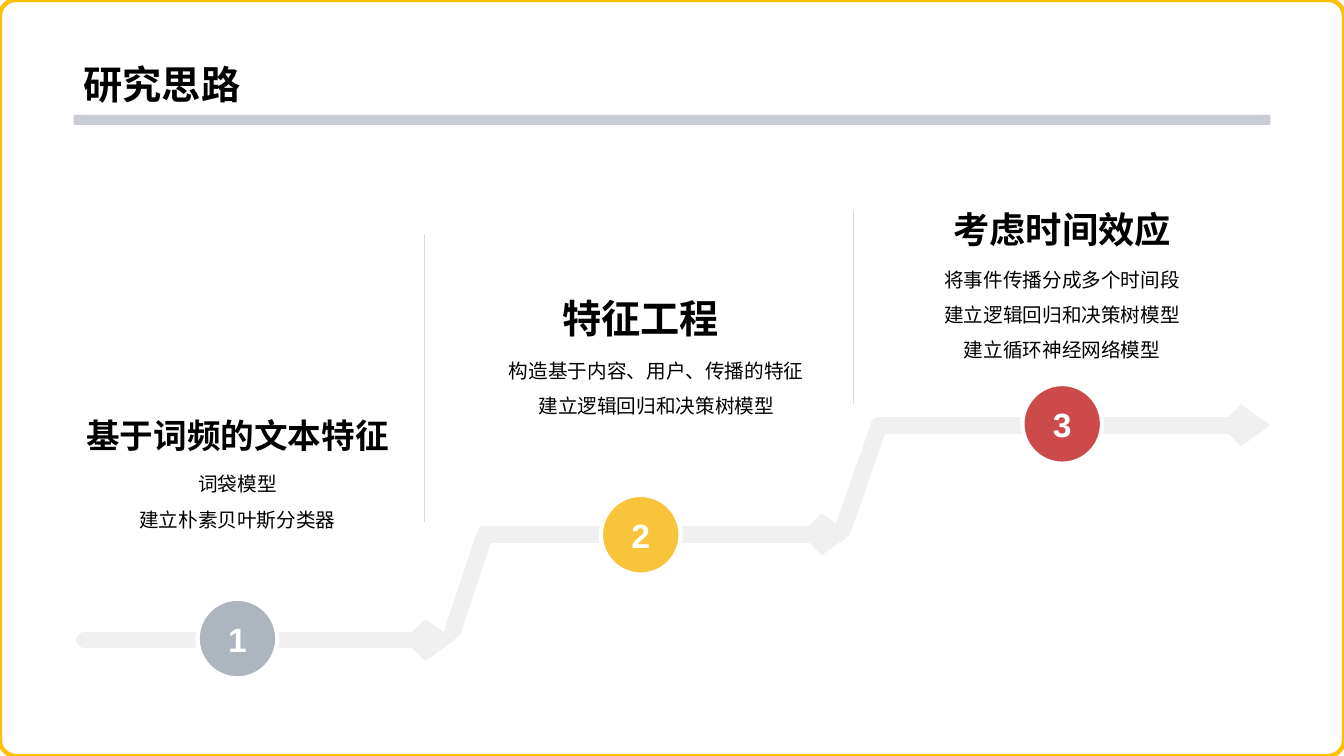
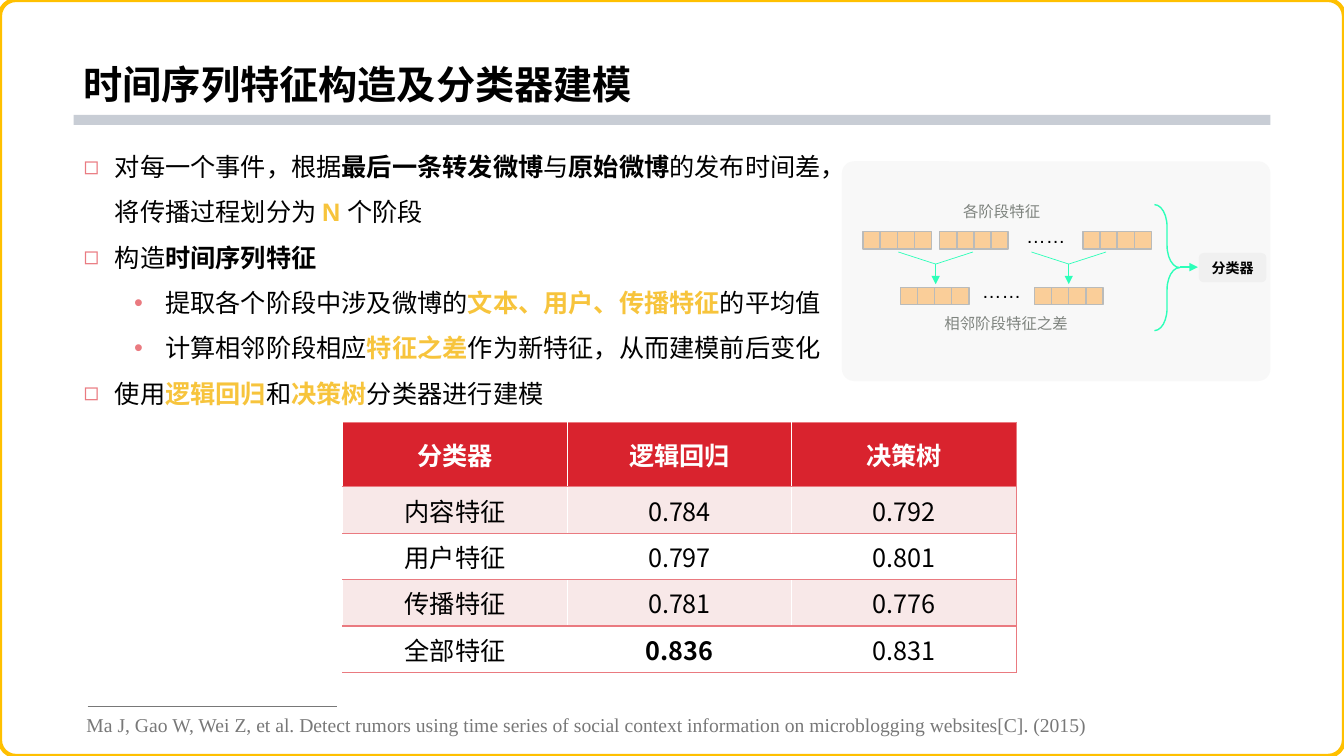
from pptx import Presentation
from pptx.dml.color import RGBColor
from pptx.enum.shapes import MSO_CONNECTOR as Conn, MSO_SHAPE as Geo
from pptx.enum.text import MSO_ANCHOR as Anchor, MSO_AUTO_SIZE as Fit, PP_ALIGN as Align
from pptx.oxml.ns import qn
from pptx.util import Inches, Pt
from lxml.etree import SubElement as Sub

SANS, CJK, SERIF = "Arial", "Noto Sans CJK SC", "Times New Roman"
BLACK, WHITE, GOLD, PINK = "000000", "FFFFFF", "F7C43C", "EA7A80"
BAND, FRAME, TRACK, RULE = "C8CDD5", "FFC000", "F0F0F0", "D9D9D9"
MINT, PEACH, EDGE, LABEL, NOTE = "2DFFB9", "FACE99", "BABBBA", "7F847F", "787878"
RED, BLUSH, PANEL = "D9232E", "F8E8E8", "EEEFEE"

STEPS = [
    ("1", "ADB5BF", (1.96, 5.94), "基于词频的文本特征", 24, (0.74, 4.02), 3.23,
     ["词袋模型", "建立朴素贝叶斯分类器"]),
    ("2", GOLD, (5.96, 4.91), "特征工程", 28, (4.74, 2.89), 3.54,
     ["构造基于内容、用户、传播的特征", "建立逻辑回归和决策树模型"]),
    ("3", "CC4A4A", (10.14, 3.81), "考虑时间效应", 25.9, (8.92, 1.99), 3.23,
     ["将事件传播分成多个时间段", "建立逻辑回归和决策树模型", "建立循环神经网络模型"]),
]
RAMPS = [(8.72, 4.22, 8.36, 5.25), (4.81, 5.3, 4.49, 6.26)]
TRACKS = [(0.84, 6.35, 4.51, 6.35), (4.81, 5.3, 8.44, 5.3), (8.73, 4.22, 12.6, 4.22)]
RULES = [(4.21, 2.32, 4.21, 5.18), (8.46, 2.09, 8.46, 4.01)]

PLAIN, BOLD, KEY = (BLACK, False), (BLACK, True), (GOLD, True)
POINTS = [
    (0, [("对每一个事件，根据", PLAIN), ("最后一条转发微博", BOLD), ("与", PLAIN),
         ("原始微博", BOLD), ("的发布时间差，将传播过程划分为 ", PLAIN),
         ("N ", KEY), ("个阶段", PLAIN)]),
    (0, [("构造", PLAIN), ("时间序列特征", BOLD)]),
    (1, [("提取各个阶段中涉及微博的", PLAIN), ("文本、用户、传播特征", KEY),
         ("的平均值", PLAIN)]),
    (1, [("计算相邻阶段相应", PLAIN), ("特征之差", KEY),
         ("作为新特征，从而建模前后变化", PLAIN)]),
    (0, [("使用", PLAIN), ("逻辑回归", KEY), ("和", PLAIN), ("决策树", KEY),
         ("分类器进行建模", PLAIN)]),
]
BULLETS = [("◻", 0.31), ("•", 0.81)]
SCORES = [
    ("分类器", "逻辑回归", "决策树"),
    ("内容特征", "0.784", "0.792"),
    ("用户特征", "0.797", "0.801"),
    ("传播特征", "0.781", "0.776"),
    ("全部特征", "0.836", "0.831"),
]
BEST = "0.836"
STRIPS = [(8.56, 2.3), (9.32, 2.3), (10.74, 2.3), (8.93, 2.85), (10.26, 2.85)]
CELL = 0.17
MERGES = [9.28, 10.6]
DOTS = [(10.08, 2.17), (9.64, 2.72)]
LABELS = [("各阶段特征", (9.45, 1.96, 0.97, 0.29)),
          ("相邻阶段特征之差", (9.26, 3.07, 1.44, 0.29))]
CITE = ("Ma J, Gao W, Wei Z, et al. Detect rumors using time series of social "
        "context information on microblogging websites[C]. (2015)")


def rgb(code):
    return RGBColor.from_string(code)


def box(at):
    return [Inches(v) for v in at]


def place(shape, at):
    shape.left, shape.top, shape.width, shape.height = box(at)


def write(para, text, size, color=BLACK, bold=False, face=SANS):
    run = para.add_run()
    run.text = text
    font = run.font
    font.size, font.bold, font.name = Pt(size), bold, face
    font.color.rgb = rgb(color)
    Sub(font._element, qn("a:ea"), typeface=CJK)


def inset(frame, side, edge):
    frame.margin_left = frame.margin_right = Inches(side)
    frame.margin_top = frame.margin_bottom = Inches(edge)


def draw(slide, geo, at, fill=None, line=None, width=1, adj=()):
    shape = slide.shapes.add_shape(geo, *box(at))
    shape.shadow.inherit = False
    for i, v in enumerate(adj):
        shape.adjustments[i] = v
    if fill:
        shape.fill.solid()
        shape.fill.fore_color.rgb = rgb(fill)
    else:
        shape.fill.background()
    if line:
        shape.line.color.rgb = rgb(line)
        shape.line.width = Pt(width)
    else:
        shape.line.fill.background()
    return shape


def link(slide, ends, color, width, head=None, size="med", cap="flat"):
    wire = slide.shapes.add_connector(Conn.STRAIGHT, *box(ends))
    wire.line.color.rgb = rgb(color)
    wire.line.width = Pt(width)
    ln = wire.line._get_or_add_ln()
    ln.set("cap", cap)
    if head:
        Sub(ln, qn("a:tailEnd"), type=head, w=size, len=size)
    Sub(wire.element.spPr, qn("a:effectLst"))


def label(slide, at, lines, size, color=BLACK, bold=False, face=SANS,
          align=Align.CENTER, space=None, wrap=False, grow=False):
    area = slide.shapes.add_textbox(*box(at))
    frame = area.text_frame
    frame.word_wrap = wrap
    frame.auto_size = Fit.SHAPE_TO_FIT_TEXT if grow else Fit.NONE
    for i, text in enumerate(lines):
        para = frame.add_paragraph() if i else frame.paragraphs[0]
        para.alignment = align
        if space:
            para.line_spacing = space
        write(para, text, size, color, bold, face)
    return frame


def center(shape, text, size, color):
    frame = shape.text_frame
    inset(frame, 0, 0)
    frame.word_wrap = False
    frame.vertical_anchor = Anchor.MIDDLE
    para = frame.paragraphs[0]
    para.alignment = Align.CENTER
    write(para, text, size, color, True)


def style(prs, slide):
    master = prs.slide_master
    band = draw(slide, Geo.RECTANGLE, (0.73, 1.14, 11.87, 0.1), BAND)
    frame = draw(slide, Geo.ROUNDED_RECTANGLE, (0, 0, 13.33, 7.5),
                 line=FRAME, width=3, adj=[0.021])
    for i, shape in enumerate((band, frame)):
        master.shapes.element.insert(2 + i, shape.element)
    title = master.placeholders[0]
    place(title, (0.73, 0, 11.87, 1.12))
    title.text_frame.vertical_anchor = Anchor.BOTTOM
    level = master.element.find(".//" + qn("p:titleStyle") + "/" + qn("a:lvl1pPr"))
    level.set("algn", "l")
    font = level.find(qn("a:defRPr"))
    font.set("sz", "2800")
    font.set("b", "1")
    font.find(qn("a:latin")).set("typeface", SANS)
    font.find(qn("a:ea")).set("typeface", CJK)


def head(slide, text):
    para = slide.shapes.title.text_frame.paragraphs[0]
    para.line_spacing = 0.9
    para.add_run().text = text


def path_slide(slide):
    head(slide, "研究思路")
    for ends in RAMPS:
        link(slide, ends, TRACK, 12, cap="rnd")
    for ends in TRACKS:
        link(slide, ends, TRACK, 12, "arrow", "sm", "rnd")
    for num, color, (x, y), name, size, (left, top), wide, lines in STEPS:
        disc = draw(slide, Geo.OVAL, (x, y, 0.79, 0.79), color, WHITE, 3)
        center(disc, num, 24, WHITE)
        label(slide, (left, top + 0.5, wide, 0.34 * len(lines) + 0.3), lines, 14,
              space=1.5, wrap=True)
        frame = label(slide, (left, top, 3.23, 0.5), [name], size, bold=True)
        frame.vertical_anchor = Anchor.BOTTOM
        inset(frame, 0, 0)
    for ends in RULES:
        link(slide, ends, RULE, 0.25)


def bullets(body):
    place(body, (0.73, 1.3, 7.62, 2.77))
    frame = body.text_frame
    frame.auto_size = Fit.NONE
    for i, (level, runs) in enumerate(POINTS):
        para = frame.add_paragraph() if i else frame.paragraphs[0]
        para.level = level
        para.line_spacing = 1.5
        para.space_before = Pt(0)
        mark, left = BULLETS[level]
        props = para._p.get_or_add_pPr()
        props.set("marL", str(Inches(left)))
        props.set("indent", str(Inches(-0.31)))
        Sub(Sub(props, qn("a:buClr")), qn("a:srgbClr"), val=PINK)
        Sub(props, qn("a:buFont"), typeface=SANS)
        Sub(props, qn("a:buChar"), char=mark)
        for text, (color, bold) in runs:
            write(para, text, 18, color, bold)


def border(cell):
    props = cell._tc.get_or_add_tcPr()
    for i, side in enumerate(("a:lnR", "a:lnT", "a:lnB")):
        ln = Sub(props, qn(side), w=str(Pt(1)))
        Sub(Sub(ln, qn("a:solidFill")), qn("a:srgbClr"), val=PINK)
        props.insert(i, ln)


def scores(slide):
    rows, cols = len(SCORES), len(SCORES[0])
    grid = slide.shapes.add_table(rows, cols, *box((3.4, 4.19, 6.68, 2.48))).table
    for col in grid.columns:
        col.width = Inches(6.68 / cols)
    for r, row in enumerate(SCORES):
        grid.rows[r].height = Inches(0.46 if r else 0.64)
        fill = (BLUSH if r % 2 else WHITE) if r else RED
        for c, text in enumerate(row):
            cell = grid.cell(r, c)
            cell.fill.solid()
            cell.fill.fore_color.rgb = rgb(fill)
            inset(cell, 0.01, 0.01)
            cell.vertical_anchor = Anchor.MIDDLE
            para = cell.text_frame.paragraphs[0]
            para.alignment = Align.CENTER
            write(para, text, 18, BLACK if r else WHITE, not r or text == BEST, CJK)
            border(cell)


def diagram(slide):
    panel = draw(slide, Geo.ROUNDED_RECTANGLE, (8.35, 1.6, 4.25, 2.18), PANEL,
                 adj=[0.055])
    tint = panel.element.spPr.find(".//" + qn("a:srgbClr"))
    Sub(tint, qn("a:alpha"), val="40000")
    for x, y in STRIPS:
        for i in range(4):
            draw(slide, Geo.RECTANGLE, (x + i * CELL, y, CELL, CELL), PEACH, EDGE)
    for x, y in DOTS:
        label(slide, (x, y, 0.59, 0.34), ["……"], 14, align=Align.LEFT, grow=True)
    for x in MERGES:
        link(slide, (x, 2.62, x, 2.82), MINT, 0.75, "triangle")
        for dx in (-0.37, 0.37):
            link(slide, (x + dx, 2.5, x, 2.62), MINT, 0.5)
    for text, at in LABELS:
        label(slide, at, [text], 11, LABEL, grow=True)
    draw(slide, Geo.RIGHT_BRACE, (11.45, 2.03, 0.25, 1.25), line=MINT,
         adj=[0.878, 0.5])
    link(slide, (11.7, 2.65, 11.88, 2.65), MINT, 1, "triangle")
    goal = draw(slide, Geo.ROUNDED_RECTANGLE, (11.89, 2.51, 0.67, 0.29), TRACK)
    center(goal, "分类器", 10, BLACK)


def model_slide(slide):
    head(slide, "时间序列特征构造及分类器建模")
    scores(slide)
    bullets(slide.placeholders[1])
    diagram(slide)
    label(slide, (0.76, 7.02, 10.13, 0.34), [CITE], 14, NOTE, face=SERIF,
          align=Align.LEFT, grow=True)
    link(slide, (0.87, 7.01, 3.34, 7.01), NOTE, 0.5)


def main():
    prs = Presentation()
    prs.slide_width, prs.slide_height = Inches(13.33), Inches(7.5)
    first = prs.slides.add_slide(prs.slide_layouts[5])
    style(prs, first)
    path_slide(first)
    model_slide(prs.slides.add_slide(prs.slide_layouts[1]))
    prs.save("out.pptx")


if __name__ == "__main__":
    main()
